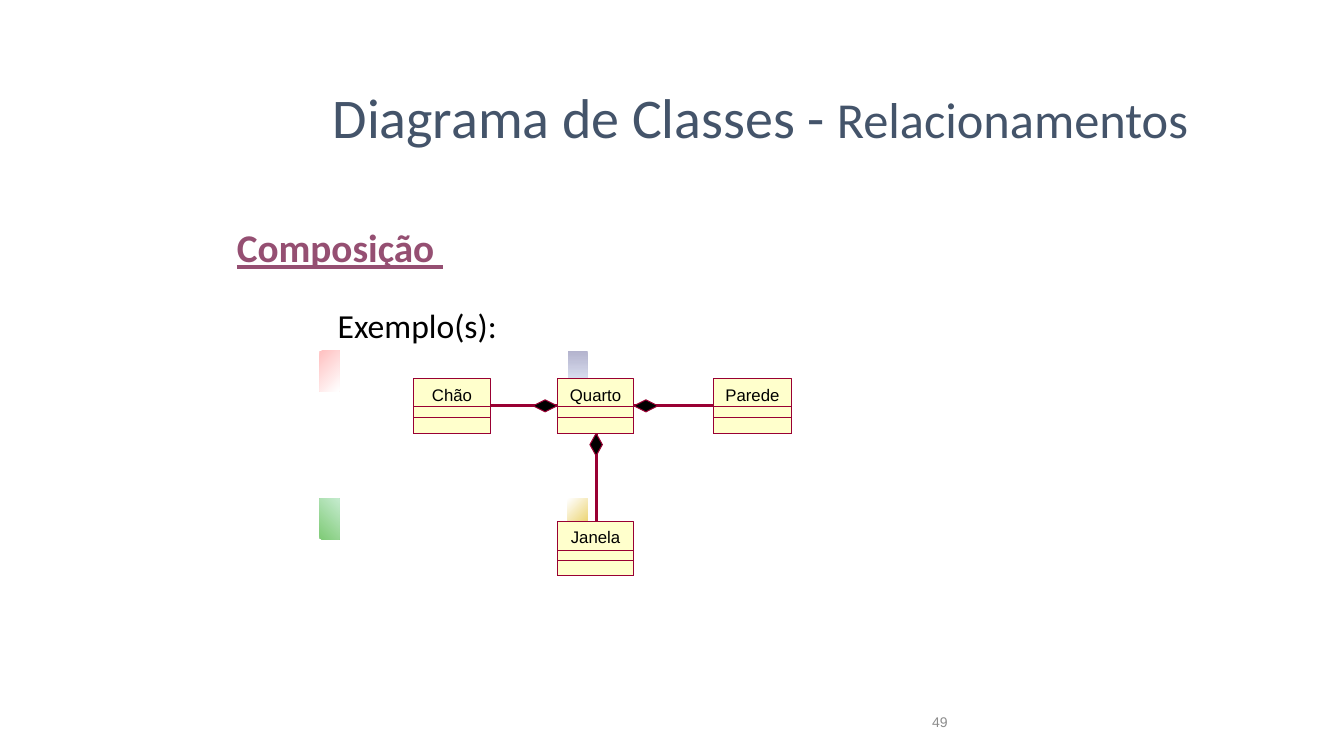
from lxml.etree import SubElement
from pptx import Presentation
from pptx.dml.color import RGBColor
from pptx.enum.shapes import MSO_CONNECTOR, MSO_SHAPE
from pptx.enum.text import MSO_ANCHOR, MSO_AUTO_SIZE, PP_ALIGN
from pptx.oxml.ns import qn
from pptx.util import Pt


def color(value):
    return RGBColor.from_string(value)


def write(para, text, font="Calibri", size=12, ink="000000", bold=False,
          underline=False, align=PP_ALIGN.LEFT, before=0, indent=0):
    properties = para._p.get_or_add_pPr()
    properties.set("marL", str(Pt(indent)))
    properties.set("indent", "0")
    if properties.find(qn("a:buNone")) is None:
        SubElement(properties, qn("a:buNone"))
    para.alignment = align
    para.space_before = Pt(before)
    span = para.add_run()
    span.text = text
    span.font.name = font
    span.font.size = Pt(size)
    span.font.bold = bold
    span.font.underline = underline
    span.font.color.rgb = color(ink)


class ClassDiagram:
    border = "990033"
    paper = "FFFFCC"
    ink = "000000"
    class_height = 38.9

    def __init__(self, page):
        self.page = page

    def frame(self, box, left, top, width, height, anchor=MSO_ANCHOR.TOP):
        box.left, box.top = Pt(left), Pt(top)
        box.width, box.height = Pt(width), Pt(height)
        text = box.text_frame
        text.word_wrap = True
        text.auto_size = MSO_AUTO_SIZE.NONE
        text.vertical_anchor = anchor
        return text

    def textbox(self, left, top, width, height, anchor):
        box = self.page.shapes.add_textbox(0, 0, 0, 0)
        return self.frame(box, left, top, width, height, anchor)

    def shape(self, kind, left, top, width, height, fill=None, line=None):
        box = self.page.shapes.add_shape(
            kind, Pt(left), Pt(top), Pt(width), Pt(height))
        box.shadow.inherit = False
        if fill:
            box.fill.solid()
            box.fill.fore_color.rgb = color(fill)
        else:
            box.fill.background()
        if line:
            box.line.color.rgb = color(line)
            box.line.width = Pt(0)
        else:
            box.line.fill.background()
        return box

    def swatch(self, left, top, start, end, angle):
        fill = self.shape(MSO_SHAPE.RECTANGLE, left, top, 14.4, 28.8).fill
        fill.gradient()
        fill.gradient_angle = angle
        for stop, value in zip(fill.gradient_stops, (start, end)):
            stop.color.rgb = color(value)

    def class_box(self, name, left, top, width, dividers=(19.6, 27.4)):
        box = self.shape(MSO_SHAPE.RECTANGLE, left, top, width,
                         self.class_height, self.paper, self.border)
        text = box.text_frame
        text.vertical_anchor = MSO_ANCHOR.TOP
        text.margin_left = text.margin_right = text.margin_bottom = 0
        text.margin_top = Pt(4)
        write(text.paragraphs[0], name, font="Arial", align=PP_ALIGN.CENTER)
        for offset in dividers:
            self.shape(MSO_SHAPE.RECTANGLE, left, top + offset, width,
                       self.class_height - offset, line=self.border)

    def link(self, x1, y1, x2, y2):
        line = self.page.shapes.add_connector(
            MSO_CONNECTOR.STRAIGHT, Pt(x1), Pt(y1), Pt(x2), Pt(y2))
        line.line.color.rgb = color(self.border)
        line.line.width = Pt(0)
        SubElement(line._element.spPr, qn("a:effectLst"))

    def diamond(self, left, top, width, height):
        self.shape(MSO_SHAPE.DIAMOND, left, top, width, height,
                   self.ink, self.border)


def main():
    deck = Presentation()
    deck.slide_width, deck.slide_height = Pt(960), Pt(540)
    page = deck.slides.add_slide(deck.slide_layouts[1])
    diagram = ClassDiagram(page)

    title = diagram.frame(page.shapes.title, 230.4, 37.4, 626.4, 90.7,
                          MSO_ANCHOR.MIDDLE).paragraphs[0]
    for text, size in (("Diagrama de Classes -", 40), (" ", 38),
                       ("Relacionamentos", 36)):
        write(title, text, size=size, ink="44546A")

    body = diagram.frame(page.placeholders[1], 162, 156.2, 642, 117.4)
    write(body.paragraphs[0], "Composição ", size=28, ink="954F72",
          bold=True, underline=True)
    write(body.add_paragraph(), "Exemplo(s):", size=24, before=24.4, indent=72)

    number = diagram.textbox(516.2, 501, 167.8, 28.8, MSO_ANCHOR.MIDDLE)
    write(number.paragraphs[0], "49", font="Arial", size=10, ink="8C8C8C",
          align=PP_ALIGN.RIGHT)

    for left, top, start, end, angle in (
            (228.2, 250.6, "FFC1C1", "FFFFFF", 315),
            (405.4, 250.6, "B3B3CD", "E9F0FD", 270),
            (228.2, 356.4, "7FCB77", "C5EBCE", 45),
            (405.4, 356.4, "FFFFFF", "E5C53D", 315)):
        diagram.swatch(left, top, start, end, angle)

    row, middle, axis = 270.7, 289.6, 426.2
    for x1, y1, x2, y2 in ((350.6, middle, 397.8, middle),
                           (452.9, middle, 509.8, middle),
                           (axis, 309.6, axis, 372.2)):
        diagram.link(x1, y1, x2, y2)
    for left in (380.9, 452.9):
        diagram.diamond(left, 285.6, 17, 8.6)
    diagram.diamond(421.4, 309.6, 8.9, 16)

    diagram.class_box("Chão", 295.2, row, 55.4)
    diagram.class_box("Quarto", 398.2, row, 54.4)
    diagram.class_box("Parede", 509.8, row, 55.4)
    diagram.class_box("Janela", 398.2, 372.2, 54.4, dividers=(21, 28.4))

    deck.save("out.pptx")


if __name__ == "__main__":
    main()
